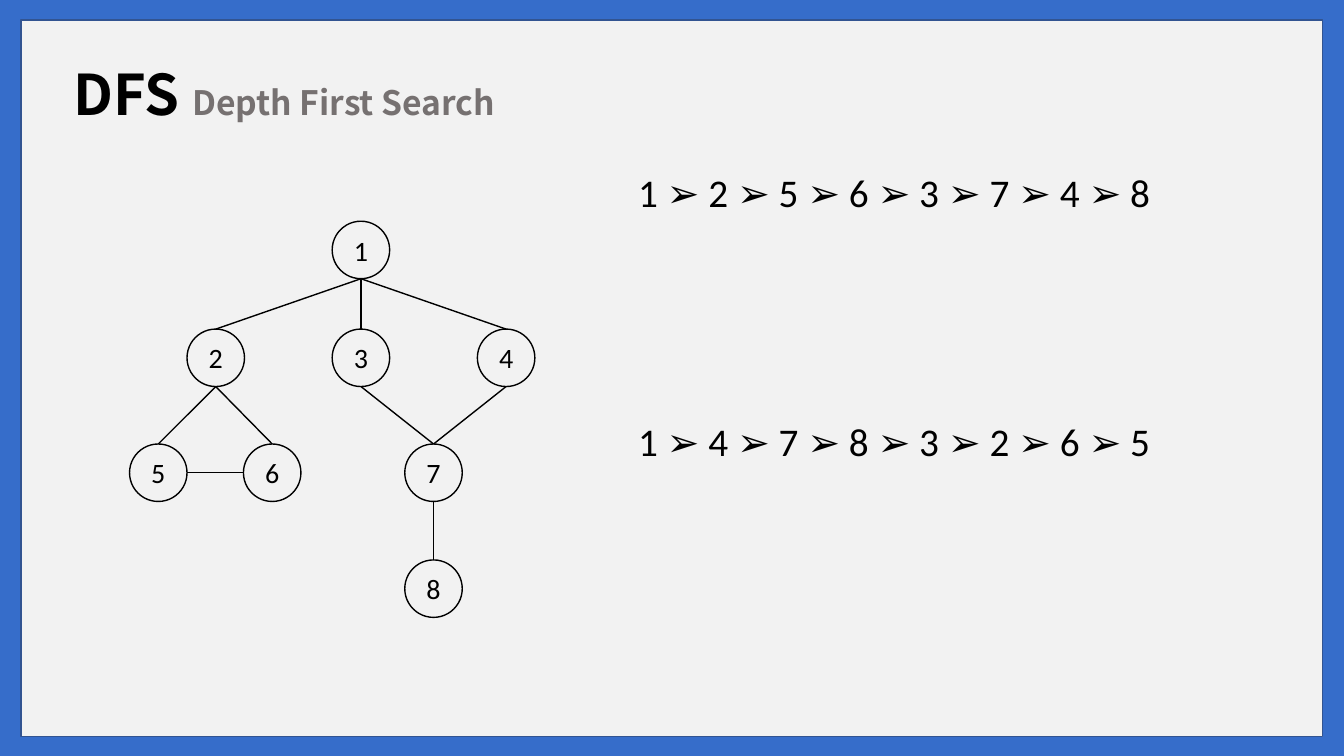
from lxml.etree import SubElement
from pptx import Presentation
from pptx.dml.color import RGBColor
from pptx.enum.shapes import MSO_CONNECTOR, MSO_SHAPE
from pptx.enum.text import MSO_ANCHOR, PP_ALIGN
from pptx.oxml.ns import qn
from pptx.util import Inches, Pt

# Content
TITLE = [("DFS ", 40, "black"), ("Depth First Search", 24, "gray")]
NODES = {  # label: centre x, centre y
    1: (3.58, 2.48),
    2: (2.14, 3.55), 3: (3.58, 3.55), 4: (5.02, 3.55),
    5: (1.57, 4.69), 6: (2.7, 4.69), 7: (4.3, 4.69),
    8: (4.3, 5.84),
}
EDGES = [(1, 2), (1, 3), (1, 4), (2, 5), (2, 6), (5, 6), (3, 7), (4, 7), (7, 8)]
VISIT_ORDERS = [  # top, order of visits
    (1.62, [1, 2, 5, 6, 3, 7, 4, 8]),
    (4.09, [1, 4, 7, 8, 3, 2, 6, 5]),
]

COLORS = {"blue": "366DCA", "border": "325491", "panel": "F2F2F2",
          "black": "000000", "gray": "767171"}
TITLE_FONT, BODY_FONT = "Noto Sans CJK KR", "Calibri"
DIAMETER = 0.57
RADIUS = DIAMETER / 2


def color(name):
    return RGBColor.from_string(COLORS[name])


def set_font(font, size, name=BODY_FONT, color_name="black"):
    font.name = name
    font.size = Pt(size)
    font.color.rgb = color(color_name)


def set_line(line, color_name="black"):
    line.color.rgb = color(color_name)
    line.width = Pt(1)


def add_edge(slide, parent, child):
    (x1, y1), (x2, y2) = NODES[parent], NODES[child]
    if y1 == y2:  # siblings join side to side
        x1, x2 = x1 + RADIUS, x2 - RADIUS
    else:  # parent's bottom joins child's top
        y1, y2 = y1 + RADIUS, y2 - RADIUS
    edge = slide.shapes.add_connector(
        MSO_CONNECTOR.STRAIGHT, Inches(x1), Inches(y1), Inches(x2), Inches(y2))
    set_line(edge.line)
    SubElement(edge._element.spPr, qn("a:effectLst"))


def add_node(slide, label, x, y):
    node = slide.shapes.add_shape(
        MSO_SHAPE.OVAL, Inches(x - RADIUS), Inches(y - RADIUS),
        Inches(DIAMETER), Inches(DIAMETER))
    node.shadow.inherit = False
    node.fill.background()
    set_line(node.line)
    frame = node.text_frame
    frame.vertical_anchor = MSO_ANCHOR.MIDDLE
    paragraph = frame.paragraphs[0]
    paragraph.text = str(label)
    paragraph.alignment = PP_ALIGN.CENTER
    set_font(paragraph.font, 20)


def main():
    presentation = Presentation()
    presentation.slide_width = Inches(13.33)
    presentation.slide_height = Inches(7.5)
    slide = presentation.slides.add_slide(presentation.slide_layouts[5])

    # Blue frame around a light panel, behind everything
    slide.background.fill.solid()
    slide.background.fill.fore_color.rgb = color("blue")
    panel = slide.shapes.add_shape(
        MSO_SHAPE.RECTANGLE, Inches(0.21), Inches(0.2), Inches(12.91), Inches(7.11))
    panel.shadow.inherit = False
    panel.fill.solid()
    panel.fill.fore_color.rgb = color("panel")
    set_line(panel.line, "border")
    slide.shapes.title._element.addprevious(panel._element)

    # Title
    title = slide.shapes.title
    title.left, title.top = Inches(0.63), Inches(0.47)
    title.width, title.height = Inches(11), Inches(0.85)
    title.text_frame.vertical_anchor = MSO_ANCHOR.BOTTOM
    paragraph = title.text_frame.paragraphs[0]
    paragraph.alignment = PP_ALIGN.LEFT
    paragraph.line_spacing = 0.9
    for text, size, color_name in TITLE:
        run = paragraph.add_run()
        run.text = text
        run.font.bold = True
        set_font(run.font, size, TITLE_FONT, color_name)

    # Graph
    for parent, child in EDGES:
        add_edge(slide, parent, child)
    for label, (x, y) in NODES.items():
        add_node(slide, label, x, y)

    # Visit orders
    for top, order in VISIT_ORDERS:
        box = slide.shapes.add_textbox(
            Inches(6.23), Inches(top), Inches(5.69), Inches(0.57))
        box.text_frame.word_wrap = True
        paragraph = box.text_frame.paragraphs[0]
        paragraph.text = " ➢ ".join(str(label) for label in order)
        set_font(paragraph.font, 28)

    presentation.save("out.pptx")


if __name__ == "__main__":
    main()
